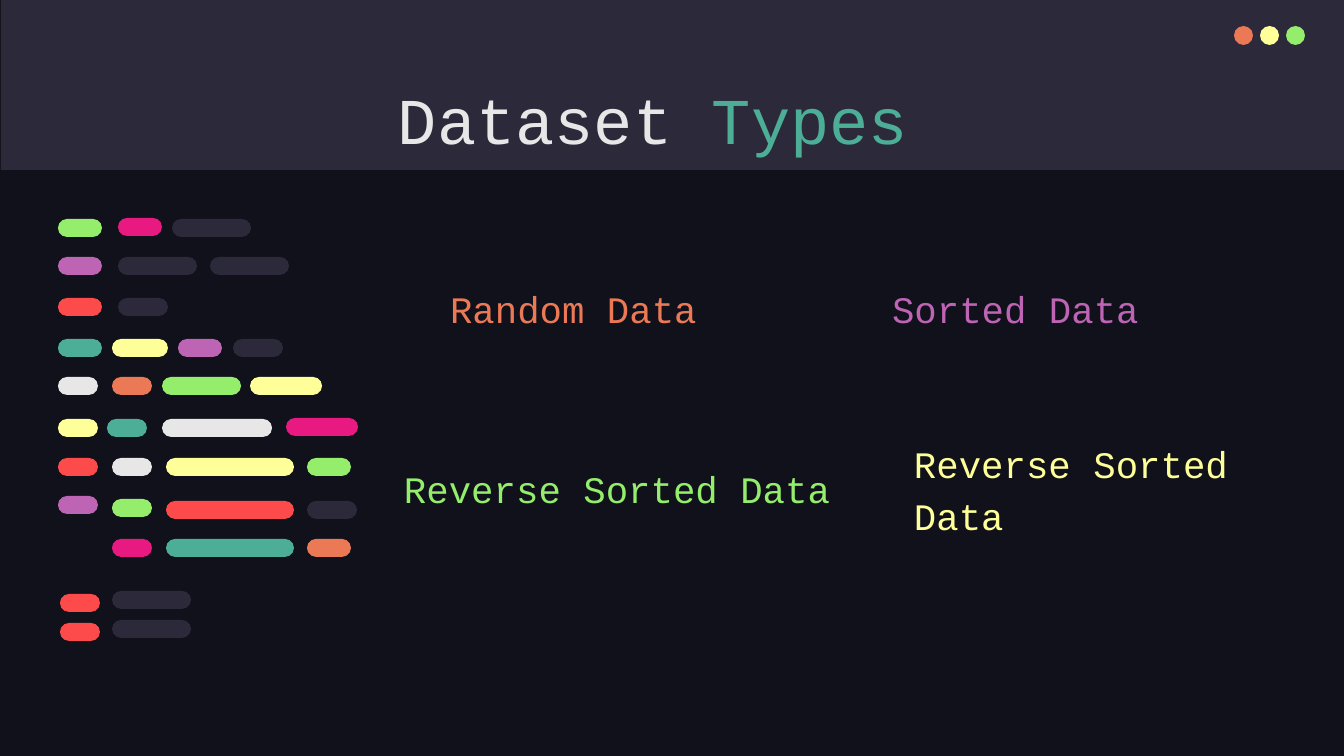
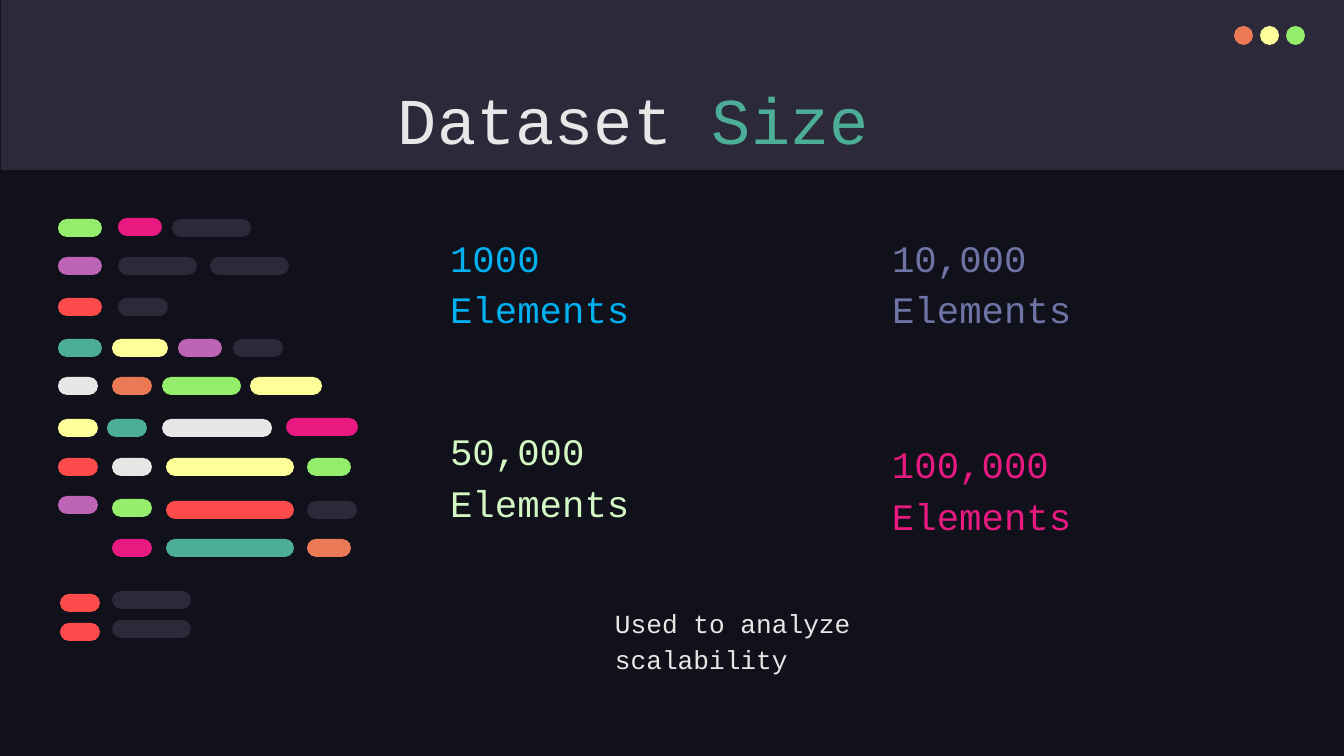
"""Build two dark code-editor style slides on dataset types and dataset sizes."""
from pptx import Presentation
from pptx.dml.color import RGBColor
from pptx.enum.shapes import MSO_SHAPE
from pptx.enum.text import MSO_ANCHOR
from pptx.util import Pt

PX = 914400 / 134.4
FONT = "Courier New"
INSET = 13

NIGHT, SLATE, WHITE = "10111A", "2C293A", "E7E7E7"
ORANGE, YELLOW, GREEN, TEAL = "EC7955", "FFFF99", "94EE6B", "4CAE97"
PINK, PURPLE, RED = "E81A81", "BD64B5", "FD4A4A"
SKY, INDIGO, MINT = "00B0F0", "6E74A6", "D4F8C4"

BAND = (1, 0, 1344, 170)
DOTS = [ORANGE, YELLOW, GREEN]
DOT_LEFT, DOT_TOP, DOT_SIZE, DOT_PITCH = 1234, 26, 19, 26
TITLE = (106, 66, 1133, 85)
TITLE_INDENT = 292

PILL_HEIGHT = 18
CODE_PILLS = [
    (58, 219, 44, GREEN), (118, 218, 44, PINK), (172, 219, 79, SLATE),
    (58, 257, 44, PURPLE), (118, 257, 79, SLATE), (210, 257, 79, SLATE),
    (58, 298, 44, RED), (118, 298, 50, SLATE),
    (58, 339, 44, TEAL), (112, 339, 56, YELLOW), (178, 339, 44, PURPLE), (233, 339, 50, SLATE),
    (58, 377, 40, WHITE), (112, 377, 40, ORANGE), (162, 377, 79, GREEN), (250, 377, 72, YELLOW),
    (58, 419, 40, YELLOW), (107, 419, 40, TEAL), (162, 419, 110, WHITE), (286, 418, 72, PINK),
    (58, 458, 40, RED), (112, 458, 40, WHITE), (166, 458, 128, YELLOW), (307, 458, 44, GREEN),
    (58, 496, 40, PURPLE), (112, 499, 40, GREEN), (166, 501, 128, RED), (307, 501, 50, SLATE),
    (112, 539, 40, PINK), (166, 539, 128, TEAL), (307, 539, 44, ORANGE),
    (60, 594, 40, RED), (112, 591, 79, SLATE),
    (60, 623, 40, RED), (112, 620, 79, SLATE),
]

TOP_LEFT, TOP_RIGHT = (437, 270, 290, 74), (879, 270, 290, 74)
SLIDES = [
    {
        "title": ("Dataset ", "Types"),
        "labels": [
            (TOP_LEFT, ["Random Data"], ORANGE),
            ((391, 435, 457, 89), ["Reverse Sorted Data"], GREEN),
            (TOP_RIGHT, ["Sorted Data"], PURPLE),
            ((901, 435, 443, 116), ["Reverse Sorted Data"], YELLOW),
        ],
    },
    {
        "title": ("Dataset ", "Size"),
        "labels": [
            (TOP_LEFT, ["1000 Elements"], SKY),
            ((437, 449, 457, 89), ["50,000", "Elements"], MINT),
            (TOP_RIGHT, ["10,000 Elements"], INDIGO),
            ((879, 435, 443, 116), ["100,000", "Elements"], PINK),
        ],
        "note": ((602, 590, 292, 129), ["Used to analyze scalability"], WHITE),
    },
]


def emu(*lengths):
    return [round(length * PX) for length in lengths]


def paint(fill, color):
    fill.solid()
    fill.fore_color.rgb = RGBColor.from_string(color)


def add_block(shapes, preset, box, color):
    block = shapes.add_shape(preset, *emu(*box))
    block.shadow.inherit = False
    block.line.fill.background()
    paint(block.fill, color)
    return block


def add_frame(slide, box, anchor=MSO_ANCHOR.TOP):
    frame = slide.shapes.add_textbox(*emu(*box)).text_frame
    frame.word_wrap = True
    frame.vertical_anchor = anchor
    inset = emu(INSET)[0]
    frame.margin_left = frame.margin_right = inset
    frame.margin_top = frame.margin_bottom = inset
    return frame


def add_label(slide, box, lines, color, size=20, anchor=MSO_ANCHOR.BOTTOM):
    frame = add_frame(slide, box, anchor)
    for index, line in enumerate(lines):
        paragraph = frame.add_paragraph() if index else frame.paragraphs[0]
        paragraph.text = line
        paragraph.line_spacing = 1.15
        paragraph.font.name = FONT
        paragraph.font.size = Pt(size)
        paragraph.font.color.rgb = RGBColor.from_string(color)


def add_header(slide, title):
    add_block(slide.shapes, MSO_SHAPE.RECTANGLE, BAND, SLATE)
    dots = slide.shapes.add_group_shape()
    for index, color in enumerate(DOTS):
        left = DOT_LEFT + index * DOT_PITCH
        add_block(dots.shapes, MSO_SHAPE.OVAL, (left, DOT_TOP, DOT_SIZE, DOT_SIZE), color)

    frame = add_frame(slide, TITLE)
    frame.margin_left = emu(TITLE_INDENT)[0]
    heading = frame.paragraphs[0]
    heading.font.name = FONT
    heading.font.size = Pt(35)
    for word, color in zip(title, (WHITE, TEAL)):
        run = heading.add_run()
        run.text = word
        run.font.color.rgb = RGBColor.from_string(color)


def add_code_pills(slide):
    code = slide.shapes.add_group_shape()
    for left, top, width, color in CODE_PILLS:
        box = (left, top, width, PILL_HEIGHT)
        pill = add_block(code.shapes, MSO_SHAPE.ROUNDED_RECTANGLE, box, color)
        pill.adjustments[0] = 0.5


def main():
    deck = Presentation()
    deck.slide_width, deck.slide_height = emu(1344, 756)
    paint(deck.slide_master.background.fill, NIGHT)
    for content in SLIDES:
        slide = deck.slides.add_slide(deck.slide_layouts[6])
        add_header(slide, content["title"])
        for label in content["labels"]:
            add_label(slide, *label)
        add_code_pills(slide)
        if "note" in content:
            add_label(slide, *content["note"], size=14, anchor=MSO_ANCHOR.TOP)
    deck.save("out.pptx")


if __name__ == "__main__":
    main()
